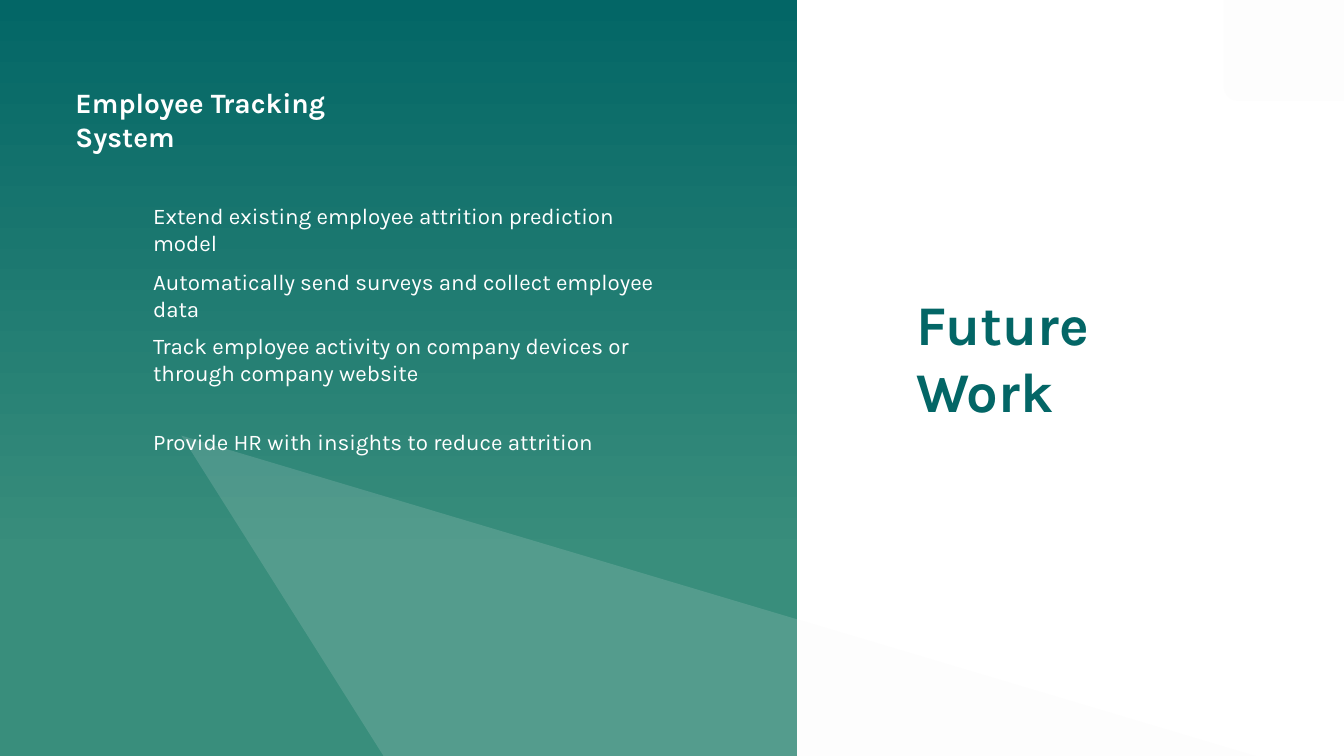
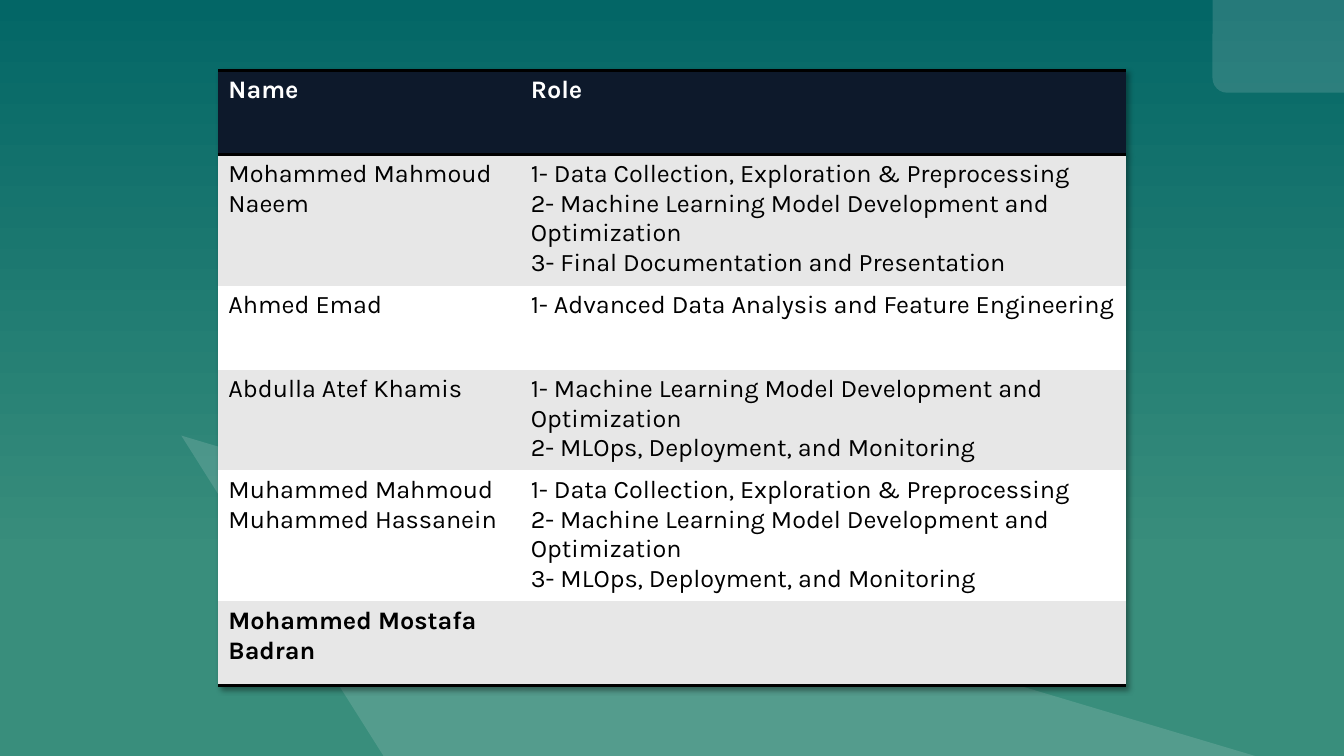
from lxml import etree
from pptx import Presentation
from pptx.dml.color import RGBColor
from pptx.enum.shapes import MSO_SHAPE
from pptx.enum.text import MSO_AUTO_SIZE
from pptx.oxml import parse_xml
from pptx.oxml.ns import nsdecls, qn
from pptx.util import Inches, Pt

RECT = MSO_SHAPE.RECTANGLE
ROUND = MSO_SHAPE.ROUNDED_RECTANGLE
WEDGE = MSO_SHAPE.ISOSCELES_TRIANGLE
GROW = MSO_AUTO_SIZE.SHAPE_TO_FIT_TEXT

FONT = "Karla"
PLAIN = "{2D5ABB26-0587-4C30-8999-92F81FD0307C}"
HUES = {
    "deep": "036666", "soft": "398E7C", "glass": "F2F2F2", "white": "FFFFFF",
    "black": "000000", "head": "0D192B", "band": "E7E7E7",
}
POINTS = [
    (26.1, "Extend existing employee attrition prediction model"),
    (34.8, "Automatically send surveys and collect employee data"),
    (43.3, "Track employee activity on company devices or through company website"),
    (56, "Provide HR with insights to reduce attrition"),
]
DATA = "Data Collection, Exploration & Preprocessing"
MODEL = "Machine Learning Model Development and Optimization"
OPS = "MLOps, Deployment, and Monitoring"
TEAM = [
    ("Mohammed Mahmoud Naeem", [DATA, MODEL, "Final Documentation and Presentation"]),
    ("Ahmed Emad", ["Advanced Data Analysis and Feature Engineering"]),
    ("Abdulla Atef Khamis", [MODEL, OPS]),
    ("Muhammed Mahmoud Muhammed Hassanein", [DATA, MODEL, OPS]),
    ("Mohammed Mostafa Badran", []),
]


def hue(name):
    return RGBColor.from_string(HUES[name])


class Deck:
    """Style and current slide; lengths are percent of the slide's size."""

    def __init__(self):
        self.prs = Presentation()
        self.prs.slide_width = Inches(13.333)
        self.prs.slide_height = Inches(7.5)

    def across(self, share):
        return round(self.prs.slide_width * share / 100)

    def down(self, share):
        return round(self.prs.slide_height * share / 100)

    def area(self, left, top, width, height):
        return self.across(left), self.down(top), self.across(width), self.down(height)

    def page(self, width, tab):
        """Start a slide with a gradient panel, a light beam and a corner tab."""
        self.slide = self.prs.slides.add_slide(self.prs.slide_layouts[6])
        self.panel(width)
        beam = self.glass(WEDGE, (15.15, 30, 59.93, 142), 0.51)
        beam.rotation = 306.8
        self.glass(ROUND, (*tab, 18, 16.13), 0.12)

    def shape(self, kind, box):
        shape = self.slide.shapes.add_shape(kind, *self.area(*box))
        shape.shadow.inherit = False
        shape.line.fill.background()
        return shape

    def panel(self, width):
        fill = self.shape(RECT, (0, 0, width, 100)).fill
        fill.gradient()
        fill.gradient_angle = 270
        for stop, spot, name in zip(fill.gradient_stops, (0, 0.74), ("deep", "soft")):
            stop.position = spot
            stop.color.rgb = hue(name)

    def glass(self, kind, box, bend):
        shape = self.shape(kind, box)
        shape.adjustments[0] = bend
        shape.fill.solid()
        shape.fill.fore_color.rgb = hue("glass")
        tint = shape.fill._xPr.find(".//" + qn("a:srgbClr"))
        etree.SubElement(tint, qn("a:alpha"), val="15000")
        return shape

    def style(self, para, size, color, bold):
        font = para.font
        font.name, font.size, font.bold = FONT, Pt(size), bold
        font.color.rgb = hue(color)

    def text(self, words, box, size, color="white", bold=False):
        frame = self.slide.shapes.add_textbox(*self.area(*box)).text_frame
        frame.word_wrap = True
        frame.auto_size = GROW
        frame.text = words
        self.style(frame.paragraphs[0], size, color, bold)

    def rule(self, cell, side):
        cell._tc.get_or_add_tcPr().insert(0, parse_xml(
            f'<a:ln{side} {nsdecls("a")} w="25400"><a:solidFill>'
            f'<a:srgbClr val="{HUES["black"]}"/></a:solidFill></a:ln{side}>'))

    def table(self, rows, left, top, widths, height):
        box = self.area(left, top, sum(widths), height * len(rows))
        table = self.slide.shapes.add_table(len(rows), len(widths), *box).table
        props = table._tbl.tblPr
        props.find(qn("a:tableStyleId")).text = PLAIN
        props.insert(0, parse_xml(
            f'<a:effectLst {nsdecls("a")}><a:outerShdw blurRad="50800" dist="38100" '
            f'dir="2700000"><a:srgbClr val="{HUES["black"]}"><a:alpha val="40000"/>'
            '</a:srgbClr></a:outerShdw></a:effectLst>'))
        for col, width in zip(table.columns, widths):
            col.width = self.across(width)
        last = len(rows) - 1
        for i, row in enumerate(rows):
            table.rows[i].height = self.down(height)
            fill = "head" if i == 0 else "band" if i % 2 else "white"
            for j, words in enumerate(row):
                cell = table.cell(i, j)
                cell.text = words
                cell.fill.solid()
                cell.fill.fore_color.rgb = hue(fill)
                for para in cell.text_frame.paragraphs:
                    self.style(para, 18, "black" if i else "white", i in (0, last))
                if i in (0, last):
                    self.rule(cell, "B")
                if i == 0:
                    self.rule(cell, "T")


def future(deck):
    deck.page(59.3, (91.05, -2.8))
    deck.text("Employee Tracking System", (4.88, 10.67, 25, 10.27), 20, bold=True)
    for top, words in POINTS:
        deck.text(words, (10.65, top, 39.4, 5), 16)
    deck.text("Future Work", (67.43, 37.6, 24.8, 10.27), 40, "deep", True)


def team(deck):
    deck.page(100, (90.22, -3.87))
    rows = [("Name", "Role")]
    for name, roles in TEAM:
        rows.append((name, "\n".join(f"{n}- {role}" for n, role in enumerate(roles, 1))))
    deck.table(rows, 16.25, 9.33, (22.5, 45), 11.11)


def main():
    deck = Deck()
    future(deck)
    team(deck)
    deck.prs.save("out.pptx")


if __name__ == "__main__":
    main()
